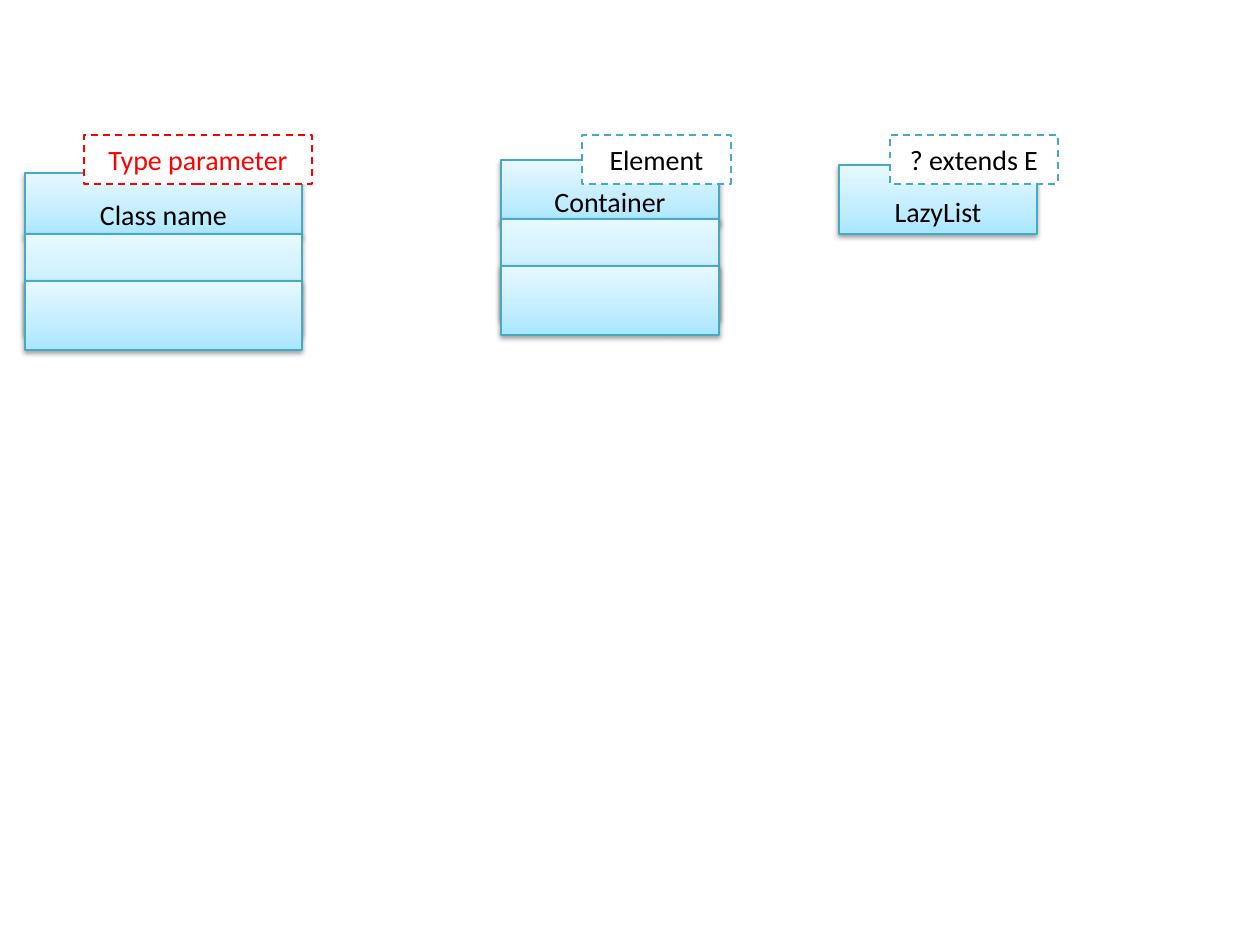
from lxml.etree import SubElement as Sub
from pptx import Presentation
from pptx.dml.color import RGBColor as Rgb
from pptx.enum.dml import MSO_LINE_DASH_STYLE as Dash
from pptx.enum.shapes import MSO_SHAPE as Kind
from pptx.enum.text import MSO_ANCHOR as Anchor, PP_ALIGN as Align
from pptx.oxml.ns import qn
from pptx.util import Pt

# Content: head = x, y, width, height; body = top of the two lower parts
CLASSES = [
    dict(name="Class name", head=(25, 173, 277, 64), body=234,
         tag="Type parameter", tag_x=84, tag_w=228, tone="red"),
    dict(name="Container", head=(501, 160, 218, 64), body=219,
         tag="Element", tag_x=582, tag_w=149),
    dict(name="LazyList", head=(839, 165, 198, 69), body=None,
         tag="? extends E", tag_x=890, tag_w=168),
]
HEX = dict(edge="46AAC5", red="FF0000", black="000000", white="FFFFFF")
STOPS = [(0, "A7E6FF"), (35, "C1EDFF"), (100, "E7F8FF")]
TAG_Y, TAG_H = 135, 49
FIELDS_H, OPS_H, OPS_DROP = 100, 69, 47


def px(n):
    return round(n * 914400 / 126)


def rgb(name):
    return Rgb.from_string(HEX[name])


def put_text(shape, text, color="black", anchor=Anchor.MIDDLE, size=16):
    frame = shape.text_frame
    frame.word_wrap = True
    frame.vertical_anchor = anchor
    para = frame.paragraphs[0]
    para.alignment = Align.CENTER
    run = para.add_run()
    run.text = text
    run.font.name, run.font.size = "Calibri", Pt(size)
    run.font.color.rgb = rgb(color)


def add_box(x, y, w, h, edge="edge", width=0.75):
    box = slide.shapes.add_shape(Kind.RECTANGLE, px(x), px(y), px(w), px(h))
    box.line.color.rgb = rgb(edge)
    box.line.width = Pt(width)
    box.shadow.inherit = False
    return box


def add_part(x, y, w, h):
    """A class compartment with gradient and soft shadow."""
    box = add_box(x, y, w, h)
    box.fill.gradient()
    box.fill.gradient_angle = 90
    props = box._element.spPr
    stops = props.find(".//" + qn("a:gsLst"))
    stops.clear()
    for pos, color in STOPS:
        stop = Sub(stops, qn("a:gs"), pos=str(pos * 1000))
        Sub(stop, qn("a:srgbClr"), val=color)
    shade = Sub(props.find(qn("a:effectLst")), qn("a:outerShdw"),
                blurRad=str(Pt(3.1)), dist=str(Pt(1.6)), dir="5400000",
                rotWithShape="0")
    tint = Sub(shade, qn("a:srgbClr"), val=HEX["black"])
    Sub(tint, qn("a:alpha"), val="38000")
    return box


deck = Presentation()
deck.slide_width, deck.slide_height = px(1260), px(945)
slide = deck.slides.add_slide(deck.slide_layouts[6])

for item in CLASSES:
    # Name, then the two lower compartments
    x, y, w, h = item["head"]
    put_text(add_part(x, y, w, h), item["name"], anchor=Anchor.BOTTOM)
    body = item["body"]
    if body:
        add_part(x, body, w, FIELDS_H)
        add_part(x, body + OPS_DROP, w, OPS_H)

    # Dashed type parameter
    tone = item.get("tone")
    tag = add_box(item["tag_x"], TAG_Y, item["tag_w"], TAG_H,
                  edge=tone or "edge", width=1)
    tag.fill.solid()
    tag.fill.fore_color.rgb = rgb("white")
    tag.line.dash_style = Dash.DASH
    put_text(tag, item["tag"], color=tone or "black")

deck.save("out.pptx")
